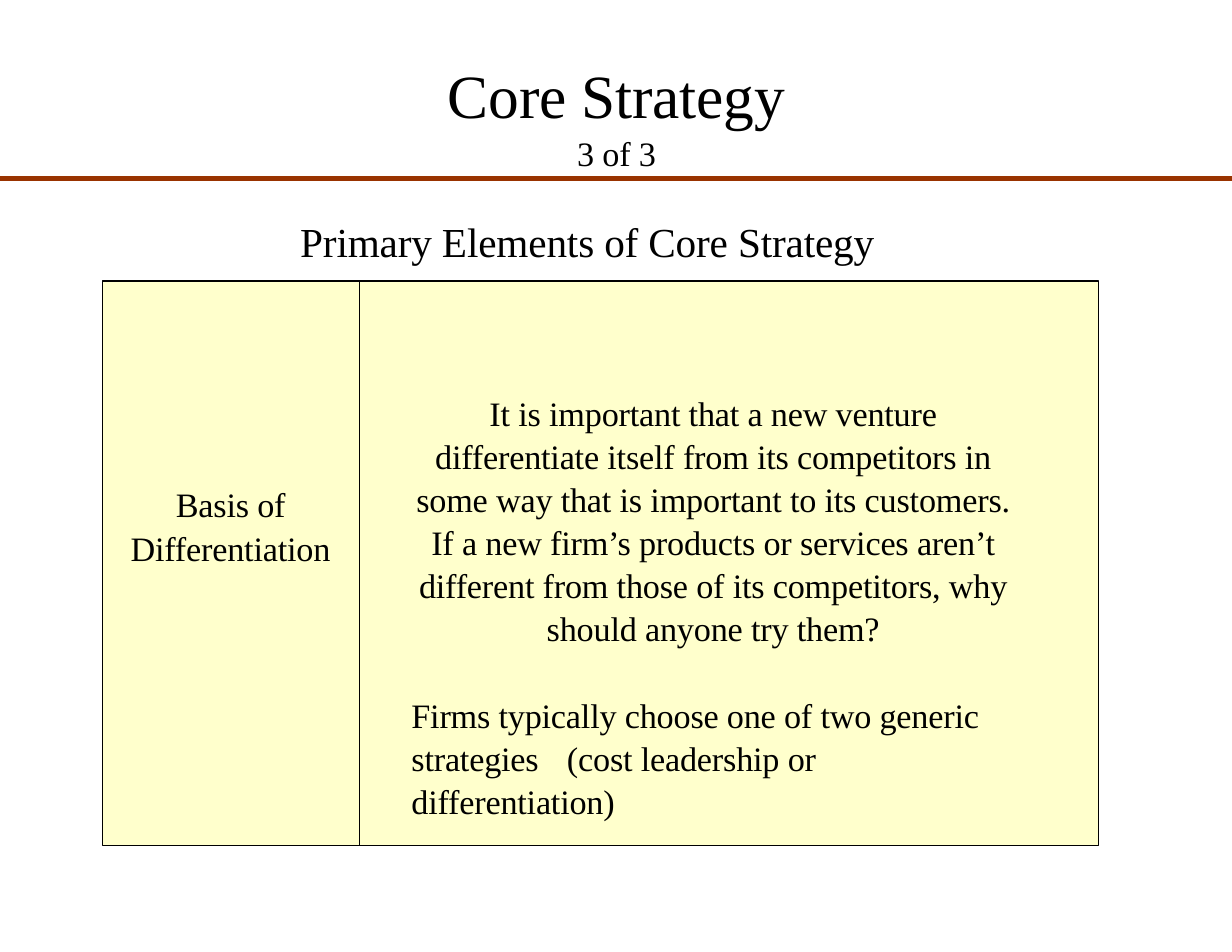
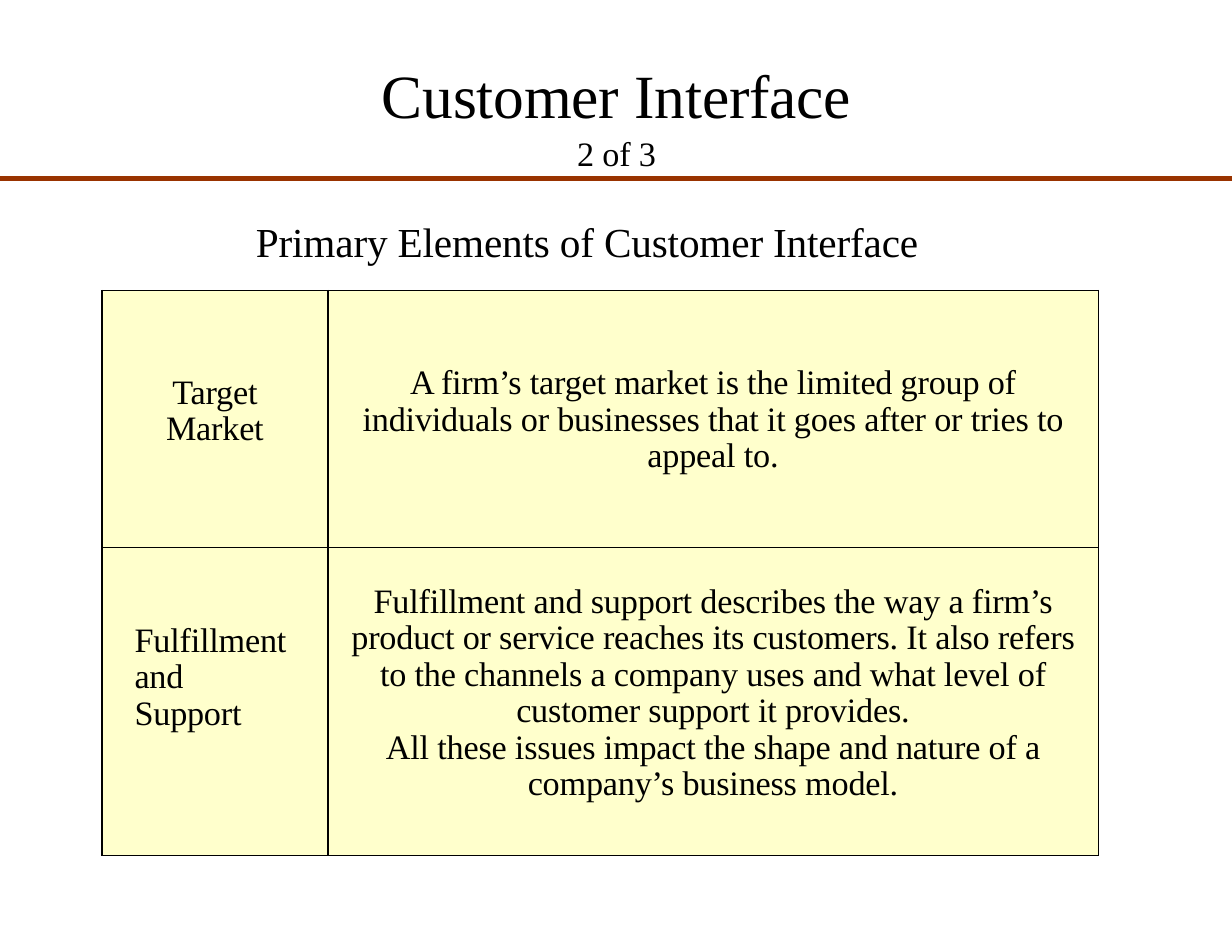
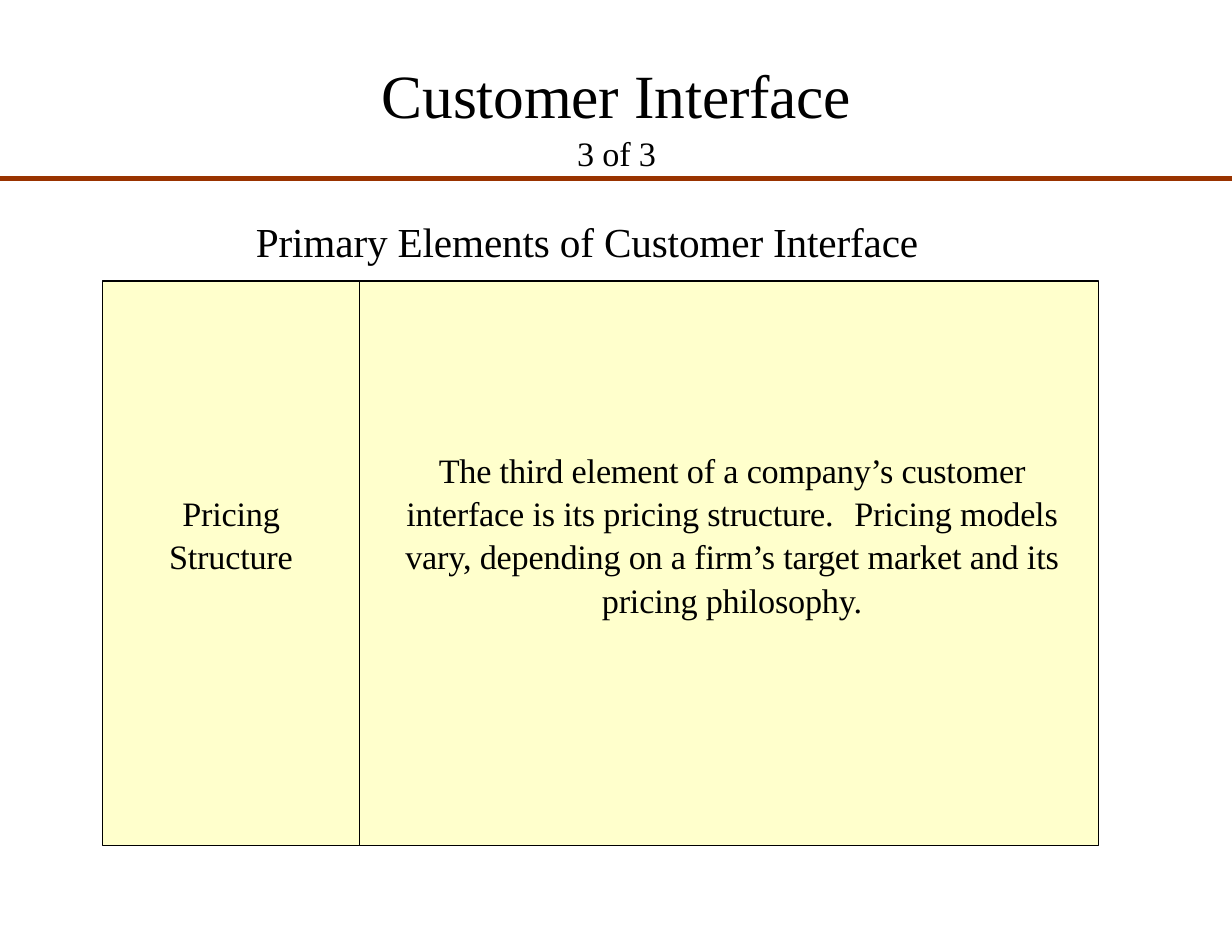
from lxml.etree import SubElement
from pptx import Presentation
from pptx.dml.color import RGBColor
from pptx.enum.shapes import MSO_CONNECTOR as Connector, MSO_SHAPE as Shape
from pptx.enum.text import MSO_ANCHOR as Anchor, PP_ALIGN as Align
from pptx.oxml.ns import qn
from pptx.util import Pt

FONT = "Times New Roman"
BLACK, CREAM, RUST = "000000", "FFFFCC", "993300"
PAGE_WIDTH, PAGE_HEIGHT = 792, 612
PANEL_LEFT, PANEL_TOP, PANEL_WIDTH, PANEL_HEIGHT = 66, 180.7, 640.3, 363
LABEL_WIDTH = 165
DIVIDER = PANEL_LEFT + LABEL_WIDTH
BODY_SIZE = 22


def color(value):
    """Turn a hex string into a colour."""
    return RGBColor.from_string(value)


def set_insets(holder, top=0, left=0, right=0):
    """Set the margins of a text frame or a table cell."""
    holder.margin_top, holder.margin_bottom = Pt(top), Pt(0)
    holder.margin_left, holder.margin_right = Pt(left), Pt(right)


def add_tab(para, position):
    """Give a paragraph one left tab stop."""
    tabs = SubElement(para._p.get_or_add_pPr(), qn("a:tabLst"))
    SubElement(tabs, qn("a:tab"), pos=str(Pt(position)), algn="l")


def style_para(para, size=BODY_SIZE, align=Align.CENTER, spacing=1.05):
    """Apply the shared text style to a paragraph."""
    para.alignment = align
    para.line_spacing = spacing
    for span in para.runs:
        span.font.name = FONT
        span.font.size = Pt(size)
        span.font.color.rgb = color(BLACK)
        span._r.get_or_add_rPr().set("spc", "-10")


def add_text(page, left, top, width, height, text, wrap=True):
    """Add a text box and return its paragraphs."""
    box = page.shapes.add_textbox(Pt(left), Pt(top), Pt(width), Pt(height))
    frame = box.text_frame
    frame.word_wrap = wrap
    set_insets(frame, top=1.7)
    frame.text = text
    return frame.paragraphs


def add_rule(page, start, end, line_color, weight):
    """Draw a straight line between two points."""
    rule = page.shapes.add_connector(Connector.STRAIGHT, *map(Pt, start + end))
    rule.line.color.rgb = color(line_color)
    rule.line.width = Pt(weight)
    SubElement(rule._element.spPr, qn("a:effectLst"))


def add_panel(page, left, width):
    """Add a cream panel with a thin outline."""
    panel = page.shapes.add_shape(
        Shape.RECTANGLE, Pt(left), Pt(PANEL_TOP), Pt(width), Pt(PANEL_HEIGHT))
    panel.shadow.inherit = False
    panel.fill.solid()
    panel.fill.fore_color.rgb = color(CREAM)
    panel.line.color.rgb = color(BLACK)
    panel.line.width = Pt(0.84)
    return panel


def fill_panel(panel, text, top, left, right):
    """Write one paragraph into a panel and return it."""
    frame = panel.text_frame
    frame.word_wrap = True
    frame.vertical_anchor = Anchor.TOP
    set_insets(frame, top, left, right)
    frame.text = text
    para = frame.paragraphs[0]
    style_para(para)
    return para


def add_borders(cell):
    """Draw a thin line on all sides of a table cell."""
    properties = cell._tc.get_or_add_tcPr()
    for side in ("lnL", "lnR", "lnT", "lnB"):
        line = SubElement(properties, qn(f"a:{side}"), w=str(Pt(1)))
        fill = SubElement(line, qn("a:solidFill"))
        SubElement(fill, qn("a:srgbClr"), val=BLACK)


def fill_cell(cell, text, top, left, right, align=Align.CENTER):
    """Write and style one table cell."""
    set_insets(cell, top, left, right)
    add_borders(cell)
    cell.fill.solid()
    cell.fill.fore_color.rgb = color(CREAM)
    cell.text_frame.text = text
    for para in cell.text_frame.paragraphs:
        style_para(para, align=align, spacing=0.96)


def add_page(deck, topic, count, subtitle_width):
    """Add a page with its title, rule and subtitle."""
    page = deck.slides.add_slide(deck.slide_layouts[6])
    title, counter = add_text(page, 150.5, 32.4, 491.8, 76.3, f"{topic}\n{count}")
    style_para(title, 39.5)
    style_para(counter)
    add_rule(page, (0, 114.5), (PAGE_WIDTH, 114.5), RUST, 3.25)
    subtitle, = add_text(page, 379.5 - subtitle_width / 2, 136, subtitle_width, 34,
                         f"Primary Elements of {topic}", wrap=False)
    style_para(subtitle, 26.5, Align.LEFT)
    return page


def add_differentiation(deck):
    """Build the page on the basis of differentiation."""
    page = add_page(deck, "Core Strategy", "3 of 3", 373)
    add_panel(page, PANEL_LEFT, PANEL_WIDTH)
    label, = add_text(page, 82, 308, 132.5, 55, "Basis of Differentiation")
    style_para(label)
    add_rule(page, (DIVIDER, PANEL_TOP), (DIVIDER, PANEL_TOP + PANEL_HEIGHT), BLACK, 0.84)
    reason, choice = add_text(
        page, 264.5, 249, 388, 269,
        "It is important that a new venture differentiate itself from its "
        "competitors in some way that is important to its customers. If a new "
        "firm’s products or services aren’t different from those of its "
        "competitors, why should anyone try them?\n"
        "Firms typically choose one of two generic strategies\t(cost leadership "
        "or differentiation)")
    style_para(reason)
    add_tab(choice, 100)
    style_para(choice, align=Align.LEFT)
    choice.space_before = Pt(28)


def add_market_and_support(deck):
    """Build the page with the table of two elements."""
    page = add_page(deck, "Customer Interface", "2 of 3", 430)
    table = page.shapes.add_table(
        2, 2, Pt(65.5), Pt(186.8), Pt(640.5), Pt(363)).table
    table.first_row = table.horz_banding = False
    for column, width in zip(table.columns, (145.3, 495.2)):
        column.width = Pt(width)
    for row, height in zip(table.rows, (165, 198)):
        row.height = Pt(height)
    fill_cell(table.cell(0, 0), "Target Market", 54.5, 30, 30)
    fill_cell(table.cell(0, 1),
              "A firm’s target market is the limited group of individuals or "
              "businesses that it goes after or tries to appeal to.", 48.3, 15, 15)
    fill_cell(table.cell(1, 0), "Fulfillment\vand\vSupport", 49, 21, 0, Align.LEFT)
    fill_cell(table.cell(1, 1),
              "Fulfillment and support describes the way a firm’s product or "
              "service reaches its customers. It also refers to the channels a "
              "company uses and what level of customer support it provides.\n"
              "All these issues impact the shape and nature of a company’s "
              "business model.", 24, 15, 15)


def add_pricing(deck):
    """Build the page on the pricing structure."""
    page = add_page(deck, "Customer Interface", "3 of 3", 430)
    label = add_panel(page, PANEL_LEFT, LABEL_WIDTH)
    fill_panel(label, "Pricing Structure", 134.5, 24, 24)
    body = add_panel(page, DIVIDER, PANEL_WIDTH - LABEL_WIDTH)
    para = fill_panel(
        body,
        "The third element of a company’s customer interface is its pricing "
        "structure.\tPricing models vary, depending on a firm’s target market "
        "and its pricing philosophy.", 107, 24, 20)
    add_tab(para, 288)


def main():
    """Build and save the deck."""
    deck = Presentation()
    deck.slide_width, deck.slide_height = Pt(PAGE_WIDTH), Pt(PAGE_HEIGHT)
    add_differentiation(deck)
    add_market_and_support(deck)
    add_pricing(deck)
    deck.save("out.pptx")


if __name__ == "__main__":
    main()
